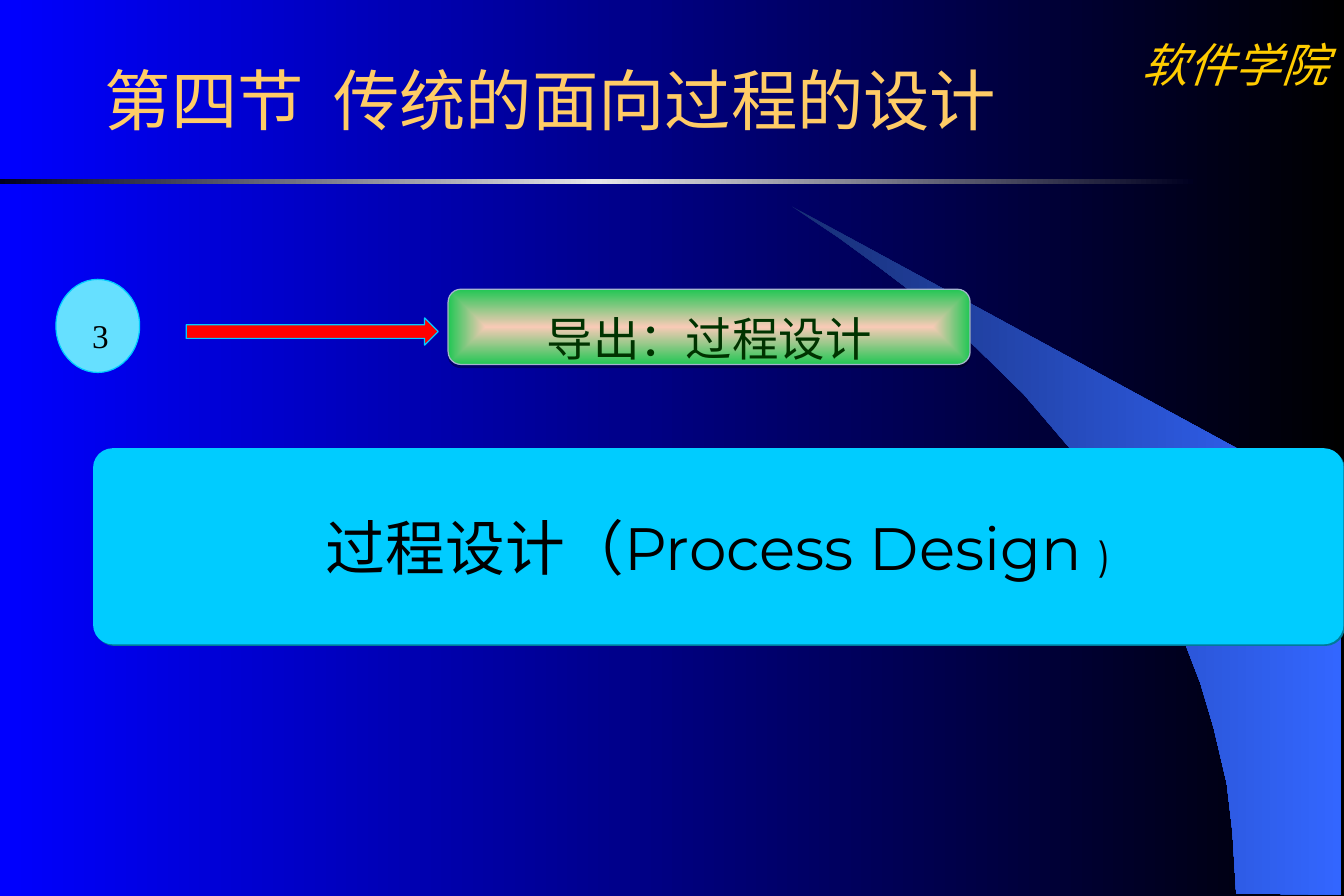
import lxml.etree
import pptx
import pptx.dml.color
import pptx.enum.shapes
import pptx.enum.text
import pptx.oxml.ns
import pptx.util

Cm = pptx.util.Cm
Pt = pptx.util.Pt
qn = pptx.oxml.ns.qn
SHAPES = pptx.enum.shapes.MSO_SHAPE
ALIGN = pptx.enum.text.PP_ALIGN
ANCHOR = pptx.enum.text.MSO_ANCHOR


def colour(value):
    return pptx.dml.color.RGBColor.from_string(value)


def add_element(parent, tag, **attributes):
    return lxml.etree.SubElement(parent, qn(tag), attributes)


class Page:
    body_font = "Montserrat"
    label_font = "Times New Roman"
    accent = "00CCFF"

    def __init__(self, deck):
        self.slide = deck.slides.add_slide(deck.slide_layouts[5])

    def gradient(self, owner, fill, stops, from_centre=False):
        fill.gradient()
        fill.gradient_angle = 0
        element = next(owner.element.iter(qn("a:gradFill")))
        stop_list = element.find(qn("a:gsLst"))
        for old_stop in list(stop_list):
            stop_list.remove(old_stop)
        for number, value in enumerate(stops):
            position = 100000 * number // (len(stops) - 1)
            stop = add_element(stop_list, "a:gs", pos=str(position))
            add_element(stop, "a:srgbClr", val=value)
        if from_centre:
            element.remove(element.find(qn("a:lin")))
            route = add_element(element, "a:path", path="rect")
            add_element(route, "a:fillToRect", l="50000", t="50000", r="50000", b="50000")

    def background(self, *stops):
        self.gradient(self.slide, self.slide.background.fill, stops)

    def paint(self, shape, fills, line=None, from_centre=False):
        shape.shadow.inherit = False
        if len(fills) == 1:
            shape.fill.solid()
            shape.fill.fore_color.rgb = colour(fills[0])
        else:
            self.gradient(shape, shape.fill, fills, from_centre)
        if line:
            shape.line.color.rgb = colour(line)
            shape.line.width = Pt(0.75)
        else:
            shape.line.fill.background()

    def shape(self, kind, place, fills, line=None, corner=None, from_centre=False):
        shape = self.slide.shapes.add_shape(kind, *map(Cm, place))
        if corner is not None:
            shape.adjustments[0] = corner
        self.paint(shape, fills, line, from_centre)
        return shape

    def shadow(self, shape, value, opacity, distance, degrees):
        effects = shape.element.spPr.find(qn("a:effectLst"))
        outer = add_element(effects, "a:outerShdw", dist=str(Pt(distance)),
                            dir=str(degrees * 60000), algn="ctr", rotWithShape="0")
        tint = add_element(outer, "a:srgbClr", val=value)
        add_element(tint, "a:alpha", val=str(opacity * 1000))

    def outline(self, points, fills):
        builder = self.slide.shapes.build_freeform(*points[0], scale=Cm(0.01))
        builder.add_line_segments(points[1:], close=True)
        self.paint(builder.convert_to_shape(), fills)

    def set_text(self, box, spans, value, font=None, align=ALIGN.CENTER,
                 anchor=ANCHOR.MIDDLE, margins=(0.25, 0.13), spacing=None, italic=None):
        frame = box.text_frame
        frame.word_wrap = True
        frame.auto_size = pptx.enum.text.MSO_AUTO_SIZE.NONE
        frame.vertical_anchor = anchor
        frame.margin_left = frame.margin_right = Cm(margins[0])
        frame.margin_top = frame.margin_bottom = Cm(margins[1])
        para = frame.paragraphs[0]
        para.alignment = align
        para.line_spacing = spacing
        para.font.name = font or self.body_font
        para.font.color.rgb = colour(value)
        para.font.italic = italic
        para.font.size = Pt(spans[0][1])
        for text, size in spans:
            span = para.add_run()
            span.text = text
            if size != spans[0][1]:
                span.font.size = Pt(size)

    def title(self, place, text, size, value):
        box = self.slide.shapes.title
        box.left, box.top, box.width, box.height = map(Cm, place)
        self.set_text(box, [(text, size)], value, align=ALIGN.LEFT)

    def label(self, place, text, size, value):
        box = self.slide.shapes.add_textbox(*map(Cm, place))
        self.set_text(box, [(text, size)], value, self.label_font,
                      anchor=ANCHOR.TOP, italic=True)


def main():
    deck = pptx.Presentation()
    deck.slide_width, deck.slide_height = Cm(28.58), Cm(19.05)
    page = Page(deck)
    page.background("0000FF", "000000")
    page.label((23.93, 0.64, 4.65, 1.45), "软件学院", 28, "FFCC00")

    swoosh = [
        (2629, 1900), (2852, 1902), (2852, 1074), (1684, 439), (1783, 505), (1864, 564),
        (1958, 635), (2047, 711), (2177, 838), (2294, 975), (2377, 1095), (2451, 1217),
        (2510, 1341), (2553, 1453), (2581, 1547), (2609, 1666), (2621, 1768),
    ]
    page.outline(swoosh, ["182F76", "3366FF"])
    page.shape(SHAPES.RECTANGLE, (0, 3.81, 25.37, 0.1), ["000020", "E5E5E8", "000020"])
    page.title((1.98, 1.4, 20.83, 1.4), "第四节  传统的面向过程的设计", 40, "FFCC66")

    process = page.shape(SHAPES.ROUNDED_RECTANGLE, (1.98, 9.53, 26.59, 4.17),
                         [page.accent], corner=0.1)
    page.shadow(process, "007A99", 100, 1.4, 45)
    page.set_text(process, [("过程设计（Process Design ", 36), (")", 24)], "000000",
                  margins=(0.25, 0))

    step = page.shape(SHAPES.OVAL, (1.19, 5.94, 1.78, 1.98), ["66E0FF"], page.accent)
    page.set_text(step, [("3", 20)], "000000", page.label_font, align=ALIGN.LEFT,
                  anchor=ANCHOR.TOP, margins=(0.51, 0.13), spacing=1.4)

    page.shape(SHAPES.RIGHT_ARROW, (3.96, 6.76, 5.36, 0.58), ["FF0000"], page.accent)

    result = page.shape(SHAPES.ROUNDED_RECTANGLE, (9.53, 6.15, 11.1, 1.6),
                        ["F8CAB6", "21C754"], "A5B5CF", corner=0.17, from_centre=True)
    page.shadow(result, "000000", 35, 1.8, 90)
    page.set_text(result, [("导出：过程设计", 28)], "003300", margins=(0, 0), spacing=1.4)

    deck.save("out.pptx")


if __name__ == "__main__":
    main()
